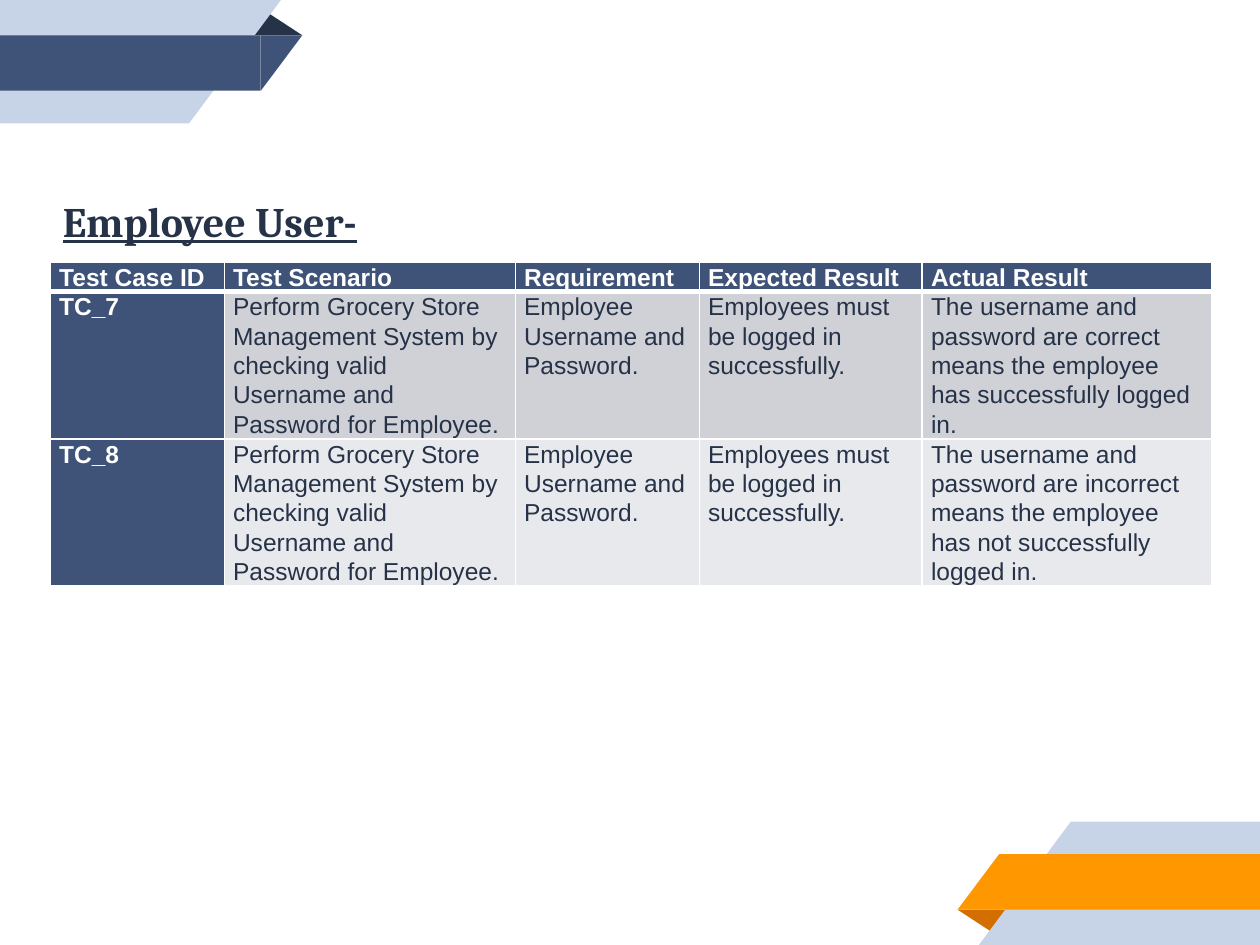
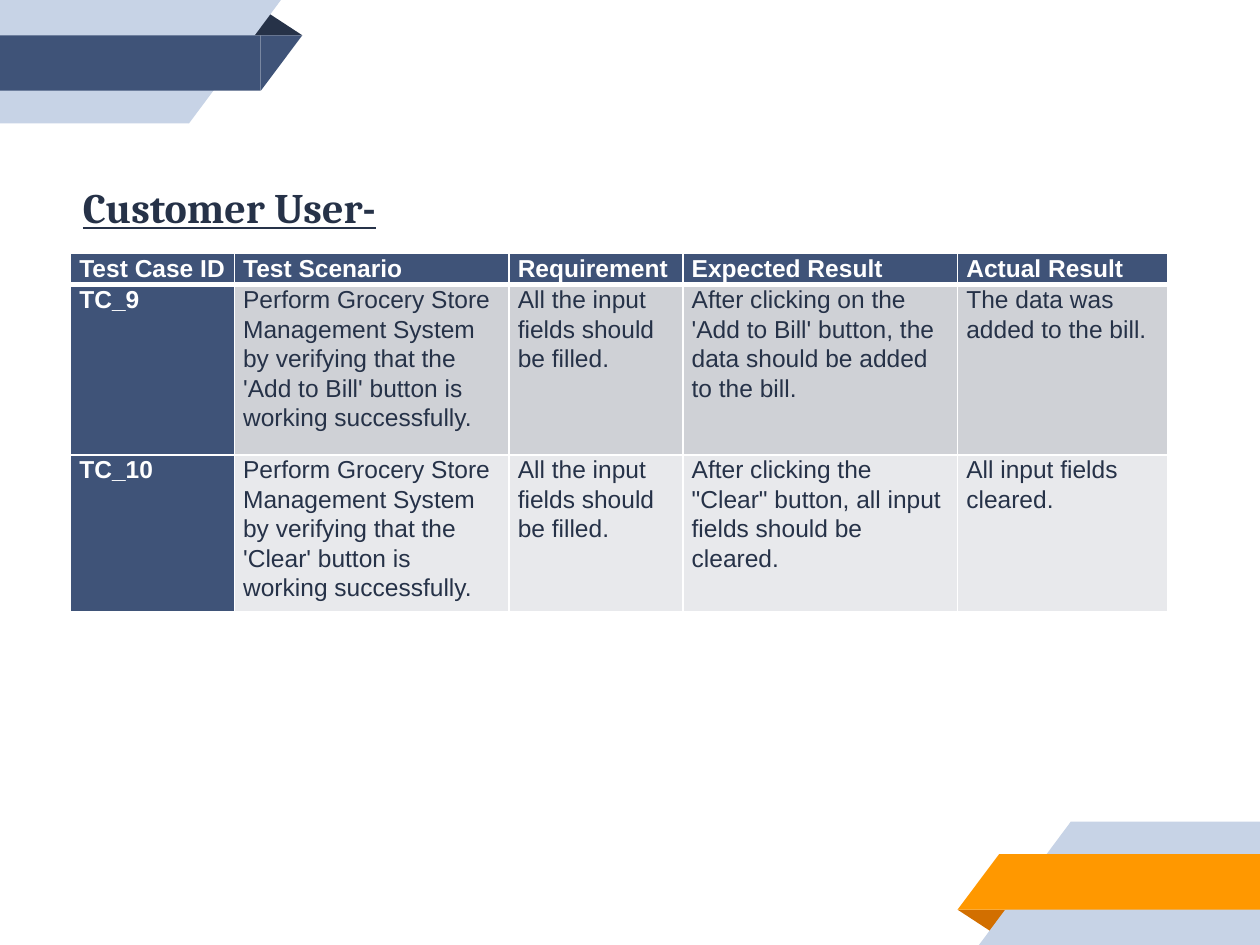
from lxml import etree
from pptx import Presentation
from pptx.dml.color import RGBColor
from pptx.enum.shapes import MSO_SHAPE as Preset
from pptx.enum.text import MSO_ANCHOR as Anchor
from pptx.oxml.ns import qn
from pptx.util import Inches, Pt

WIDTH, HEIGHT = 10, 7.5

WHITE = RGBColor(0xFF, 0xFF, 0xFF)
INK = RGBColor(0x26, 0x32, 0x48)
NAVY = RGBColor(0x3F, 0x53, 0x78)
PALE_BLUE = RGBColor(0xC7, 0xD3, 0xE6)
ORANGE = RGBColor(0xFF, 0x98, 0x00)
DARK_ORANGE = RGBColor(0xD2, 0x6F, 0x00)
ROW_FILLS = [RGBColor(0xCF, 0xD1, 0xD6), RGBColor(0xE8, 0xE9, 0xEC)]

# Ribbon in the lower right corner: preset, colour role, left, top, width, height
RIBBON = [
    (Preset.ISOSCELES_TRIANGLE, "fold", 7.6, 7.22, 0.43, 0.19),
    (Preset.RECTANGLE, "back", 8.5, 6.52, 1.5, 0.98),
    (Preset.RIGHT_TRIANGLE, "back", 7.77, 6.52, 0.73, 0.98),
    (Preset.RECTANGLE, "front", 7.93, 6.78, 2.07, 0.44),
    (Preset.RIGHT_TRIANGLE, "front", 7.6, 6.78, 0.33, 0.44),
]
# The upper left ribbon is the lower one turned half a circle around the slide centre
CORNERS = [
    (True, {"fold": INK, "back": PALE_BLUE, "front": NAVY}),
    (False, {"fold": DARK_ORANGE, "back": PALE_BLUE, "front": ORANGE}),
]

HEADERS = ["Test Case ID", "Test Scenario", "Requirement", "Expected Result", "Actual Result"]
LOGIN_SCENARIO = ("Perform Grocery Store Management System by checking valid "
                  "Username and Password for Employee.")
BUTTON_SCENARIO = ("Perform Grocery Store Management System by verifying that the "
                   "'{}' button is working successfully.")
LOGIN_REQUIREMENT = "Employee Username and Password."
LOGIN_EXPECTED = "Employees must be logged in successfully."
INPUT_REQUIREMENT = "All the input fields should be filled."

SLIDES = [
    {
        "title": "Employee User-", "left": 0.4, "title_top": 1.5, "table_top": 2.08,
        "columns": [1.38, 2.31, 1.46, 1.77, 2.3],
        "rows": [0.23, 1.17, 1.16],
        "cases": [
            ["TC_7", LOGIN_SCENARIO, LOGIN_REQUIREMENT, LOGIN_EXPECTED,
             "The username and password are correct means the employee "
             "has successfully logged in."],
            ["TC_8", LOGIN_SCENARIO, LOGIN_REQUIREMENT, LOGIN_EXPECTED,
             "The username and password are incorrect means the employee "
             "has not successfully logged in."],
        ],
    },
    {
        "title": "Customer User-", "left": 0.56, "title_top": 1.39, "table_top": 2.01,
        "columns": [1.3, 2.18, 1.38, 2.18, 1.67],
        "rows": [0.25, 1.35, 1.24],
        "cases": [
            ["TC_9", BUTTON_SCENARIO.format("Add to Bill"), INPUT_REQUIREMENT,
             "After clicking on the 'Add to Bill' button, the data should be added to the bill.",
             "The data was added to the bill."],
            ["TC_10", BUTTON_SCENARIO.format("Clear"), INPUT_REQUIREMENT,
             'After clicking the "Clear" button, all input fields should be cleared.',
             "All input fields cleared."],
        ],
    },
]


def add_run(paragraph, text, font_name, size, color, bold):
    run = paragraph.add_run()
    run.text = text
    run.font.name = font_name
    run.font.size = Pt(size)
    run.font.color.rgb = color
    run.font.bold = bold
    return run


def set_border(cell, side, points):
    line = etree.SubElement(cell._tc.get_or_add_tcPr(), qn(f"a:ln{side}"), w=str(Pt(points)))
    fill = etree.SubElement(line, qn("a:solidFill"))
    etree.SubElement(fill, qn("a:srgbClr"), val=str(WHITE))


presentation = Presentation()
presentation.slide_width = Inches(WIDTH)
presentation.slide_height = Inches(HEIGHT)

for content in SLIDES:
    slide = presentation.slides.add_slide(presentation.slide_layouts[6])
    slide.background.fill.solid()
    slide.background.fill.fore_color.rgb = WHITE

    # Corner ribbons
    for turned, colors in CORNERS:
        ribbon = slide.shapes.add_group_shape()
        for preset, role, left, top, width, height in RIBBON:
            if turned:
                left, top = WIDTH - left - width, HEIGHT - top - height
            shape = ribbon.shapes.add_shape(
                preset, Inches(left), Inches(top), Inches(width), Inches(height))
            shape.shadow.inherit = False
            shape.fill.solid()
            shape.fill.fore_color.rgb = colors[role]
            shape.line.fill.background()
            if role == "fold":
                shape.adjustments[0] = 0.324
                shape.rotation = 0 if turned else 180
            else:
                shape.rotation = 180 if turned else 0
                shape._element.spPr.xfrm.set("flipH", "1")

    # Test case table
    table = slide.shapes.add_table(
        len(content["rows"]), len(HEADERS), Inches(content["left"]), Inches(content["table_top"]),
        Inches(sum(content["columns"])), Inches(sum(content["rows"]))).table
    table.horz_banding = False
    for column, width in zip(table.columns, content["columns"]):
        column.width = Inches(width)
    for row, height in zip(table.rows, content["rows"]):
        row.height = Inches(height)

    for row_index, texts in enumerate([HEADERS] + content["cases"]):
        for column_index, text in enumerate(texts):
            cell = table.cell(row_index, column_index)
            cell.margin_left = cell.margin_right = Inches(0.07)
            cell.margin_top = cell.margin_bottom = 0
            is_heading = row_index == 0 or column_index == 0

            # Borders go before the fill; the header is underlined heavily
            set_border(cell, "L", 1)
            set_border(cell, "R", 1)
            set_border(cell, "T", 3 if row_index == 1 else 1)
            set_border(cell, "B", 3 if row_index == 0 else 1)
            cell.fill.solid()
            cell.fill.fore_color.rgb = NAVY if is_heading else ROW_FILLS[row_index - 1]

            paragraph = cell.text_frame.paragraphs[0]
            paragraph.line_spacing = 1.07
            paragraph.space_after = Pt(8)
            add_run(paragraph, text, "Arial", 14, WHITE if is_heading else INK, is_heading)

    # Title
    title = slide.shapes.add_textbox(
        Inches(content["left"]), Inches(content["title_top"]), Inches(5), Inches(0.5))
    title.text_frame.word_wrap = True
    title.text_frame.vertical_anchor = Anchor.MIDDLE
    run = add_run(title.text_frame.paragraphs[0], content["title"], "Cambria", 24, INK, True)
    run.font.underline = True

presentation.save("out.pptx")
